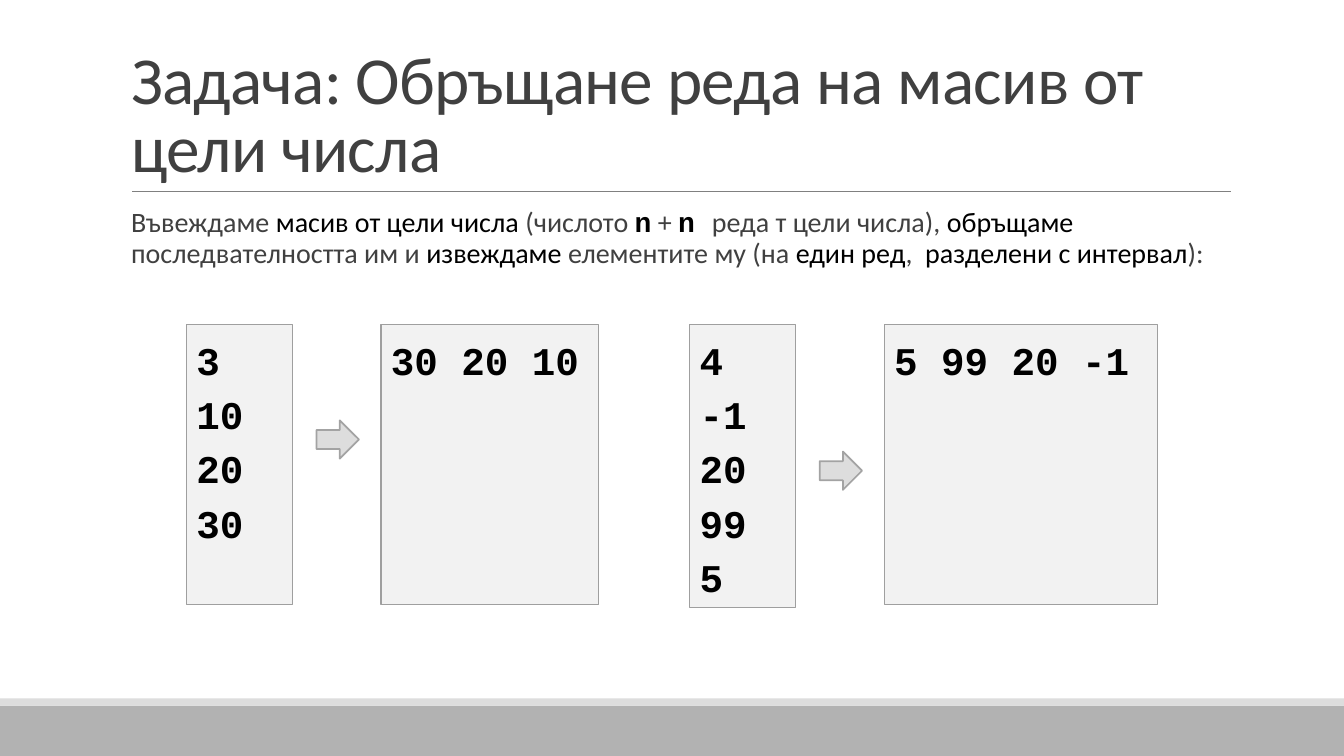
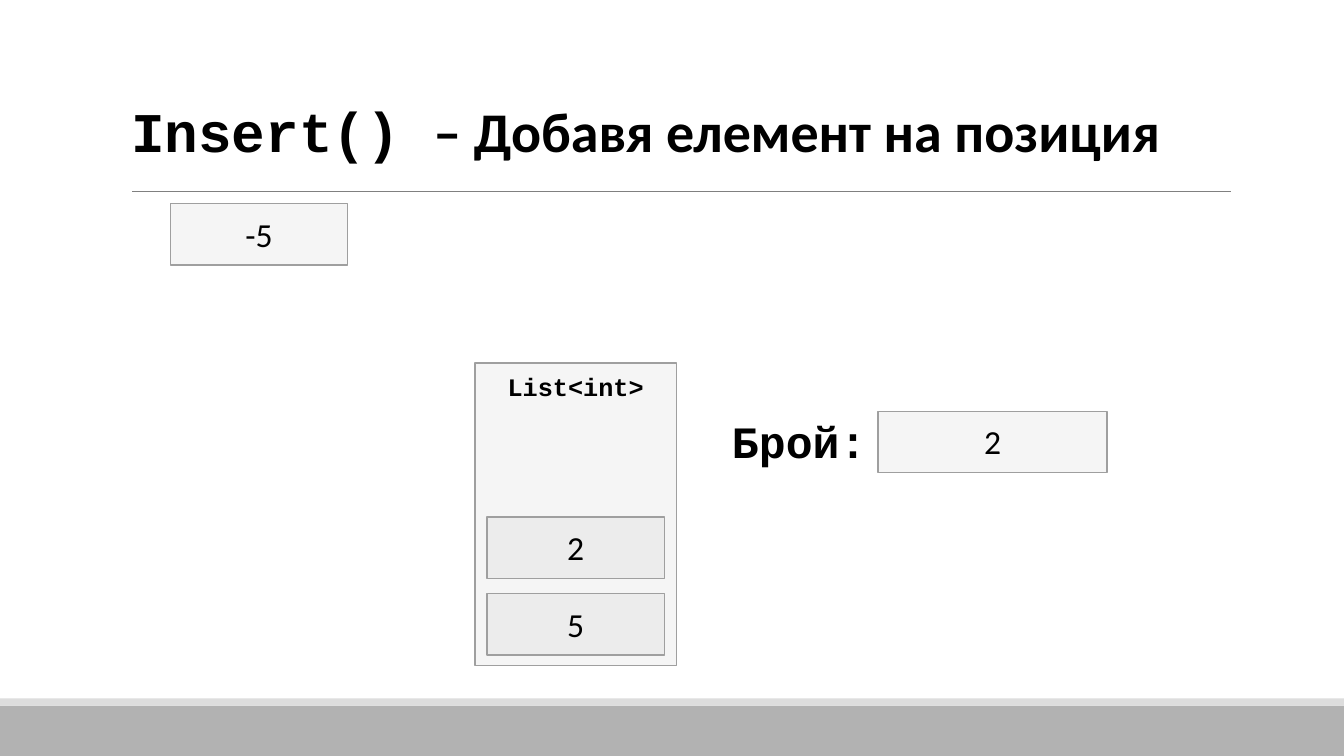
from lxml.etree import SubElement
from pptx import Presentation
from pptx.dml.color import RGBColor
from pptx.enum.shapes import MSO_CONNECTOR, MSO_SHAPE
from pptx.enum.text import MSO_ANCHOR, MSO_AUTO_SIZE, PP_ALIGN
from pptx.oxml.ns import qn
from pptx.util import Inches, Pt

BLACK = RGBColor(0x00, 0x00, 0x00)
DARK = RGBColor(0x40, 0x40, 0x40)
RULE = RGBColor(0x80, 0x80, 0x80)
BAND = RGBColor(0xB2, 0xB2, 0xB2)
LIGHT = RGBColor(0xDD, 0xDD, 0xDD)
BOX_FILL = RGBColor(0xBF, 0xBF, 0xBF)
BOX_LINE = RGBColor(0x9F, 0x9F, 0x9F)
ARROW_LINE = RGBColor(0xA3, 0xA3, 0xA3)
SANS = "Calibri"
MONO = "Courier New"


def write(paragraph, text, size, font=SANS, color=BLACK, bold=False):
    run = paragraph.add_run()
    run.text = text
    run.font.size = Pt(size)
    run.font.name = font
    run.font.color.rgb = color
    run.font.bold = bold
    return run


def add_box(slide, at, fill=BOX_FILL, line=BOX_LINE, width=1, opacity=100, kind=MSO_SHAPE.RECTANGLE):
    shape = slide.shapes.add_shape(kind, *[Inches(length) for length in at])
    shape.shadow.inherit = False
    shape.fill.solid()
    shape.fill.fore_color.rgb = fill
    if opacity < 100:
        color = shape.element.spPr.find(qn("a:solidFill"))[0]
        SubElement(color, qn("a:alpha")).set("val", str(opacity * 1000))
    if line is None:
        shape.line.fill.background()
    else:
        shape.line.color.rgb = line
        shape.line.width = Pt(width)
    shape.text_frame.vertical_anchor = MSO_ANCHOR.TOP
    return shape


presentation = Presentation()
presentation.slide_width = Inches(13.33)
presentation.slide_height = Inches(7.5)
master = presentation.slide_master
reverse_slide = presentation.slides.add_slide(presentation.slide_layouts[1])
insert_slide = presentation.slides.add_slide(presentation.slide_layouts[5])

for placeholder, top, height in zip(master.placeholders, (0.31, 2.02), (1.59, 4.4)):
    placeholder.left, placeholder.width = Inches(1.2), Inches(11)
    placeholder.top, placeholder.height = Inches(top), Inches(height)
master.placeholders[0].text_frame.vertical_anchor = MSO_ANCHOR.BOTTOM

footer_band = add_box(reverse_slide, (0, 7, 13.33, 0.5), BAND, None)
footer_edge = add_box(reverse_slide, (0, 6.93, 13.33, 0.07), LIGHT, None)
title_rule = reverse_slide.shapes.add_connector(
    MSO_CONNECTOR.STRAIGHT, Inches(1.31), Inches(1.9), Inches(12.21), Inches(1.9))
title_rule.line.color.rgb = RULE
title_rule.line.width = Pt(0.5)
SubElement(title_rule.element.spPr, qn("a:effectLst"))
for number, shape in enumerate((footer_band, footer_edge, title_rule)):
    shape.element.xpath(".//p:cNvPr")[0].set("id", str(20 + number))
    master.shapes.element.insert(2 + number, shape.element)

for slide in (reverse_slide, insert_slide):
    slide.shapes.title.text_frame.auto_size = MSO_AUTO_SIZE.NONE
    paragraph = slide.shapes.title.text_frame.paragraphs[0]
    paragraph.alignment = PP_ALIGN.LEFT
    paragraph.line_spacing = 0.85

paragraph = reverse_slide.shapes.title.text_frame.paragraphs[0]
run = write(paragraph, "Задача: Обръщане реда на масив от цели числа", 48, color=DARK)
run._r.get_or_add_rPr().set("spc", "-50")

frame = reverse_slide.placeholders[1].text_frame
frame.auto_size = MSO_AUTO_SIZE.NONE
frame.margin_left = frame.margin_right = 0
paragraph = frame.paragraphs[0]
properties = paragraph._p.get_or_add_pPr()
properties.set("marL", str(Inches(0.1)))
properties.set("indent", "0")
SubElement(properties, qn("a:buNone"))
paragraph.line_spacing = 0.9
paragraph.space_before = Pt(0)
paragraph.space_after = Pt(2)
for text, font, color in (
    ("Въвеждаме ", SANS, DARK),
    ("масив от цели числа", SANS, BLACK),
    (" (числото ", SANS, DARK),
    ("n", MONO, BLACK),
    (" + ", SANS, DARK),
    ("n ", MONO, BLACK),
    ("реда т цели числа), ", SANS, DARK),
    ("обръщаме ", SANS, BLACK),
    ("последвателността им и ", SANS, DARK),
    ("извеждаме ", SANS, BLACK),
    ("елементите му (на ", SANS, DARK),
    ("един ред", SANS, BLACK),
    (", ", SANS, DARK),
    (" разделени с интервал", SANS, BLACK),
    ("):", SANS, DARK),
):
    write(paragraph, text, 20, font, color, bold=font == MONO)

for left, numbers, input_height, output_width, arrow_top in (
    (1.85, ("3", "10", "20", "30"), 2.78, 2.16, 4.17),
    (6.84, ("4", "-1", "20", "99", "5"), 2.81, 2.71, 4.48),
):
    reversed_line = " ".join(reversed(numbers[1:]))
    for at, lines in (
        ((left, 3.22, 1.05, input_height), numbers),
        ((left + 1.93, 3.22, output_width, 2.78), (reversed_line,)),
    ):
        frame = add_box(reverse_slide, at, opacity=20).text_frame
        for index, line in enumerate(lines):
            paragraph = frame.add_paragraph() if index else frame.paragraphs[0]
            paragraph.alignment = PP_ALIGN.LEFT
            paragraph.line_spacing = 1.15
            write(paragraph, line, 28, MONO, bold=True)
    add_box(reverse_slide, (left + 1.29, arrow_top, 0.42, 0.38), LIGHT, ARROW_LINE, 1.25,
            kind=MSO_SHAPE.RIGHT_ARROW)

title = insert_slide.shapes.title
title.left, title.top, title.width, title.height = Inches(1.2), Inches(0.09), Inches(11), Inches(1.59)
paragraph = title.text_frame.paragraphs[0]
write(paragraph, "Insert() ", 40, MONO, bold=True)
write(paragraph, "– Добавя елемент на позиция", 40, bold=True)

add_box(insert_slide, (4.71, 3.6, 2, 3), opacity=15)
for text, left, top, width in (
    ("2", 8.71, 4.08, 2.27),
    ("2", 4.83, 5.13, 1.76),
    ("5", 4.83, 5.89, 1.76),
    ("-5", 1.69, 2.02, 1.76),
):
    frame = add_box(insert_slide, (left, top, width, 0.61), opacity=15).text_frame
    frame.margin_left = frame.margin_right = Inches(0.2)
    frame.margin_top = frame.margin_bottom = Inches(0.1)
    frame.paragraphs[0].alignment = PP_ALIGN.CENTER
    write(frame.paragraphs[0], text, 24)

count_label = insert_slide.shapes.add_textbox(Inches(6.64), Inches(4.11), Inches(2.17), Inches(0.58))
frame = count_label.text_frame
frame.word_wrap = True
frame.vertical_anchor = MSO_ANCHOR.MIDDLE
frame.margin_left = frame.margin_right = Inches(0.12)
frame.margin_top = frame.margin_bottom = Inches(0.04)
paragraph = frame.paragraphs[0]
paragraph._p.get_or_add_pPr().set("marL", str(Inches(0.5)))
paragraph.line_spacing = 0.9
write(paragraph, "Брой:", 32, MONO, bold=True)

list_label = insert_slide.shapes.add_textbox(Inches(4.71), Inches(3.63), Inches(2), Inches(0.5))
frame = list_label.text_frame
frame.word_wrap = True
frame.paragraphs[0].alignment = PP_ALIGN.CENTER
write(frame.paragraphs[0], "List<int>", 18, MONO, bold=True)

presentation.save("out.pptx")
